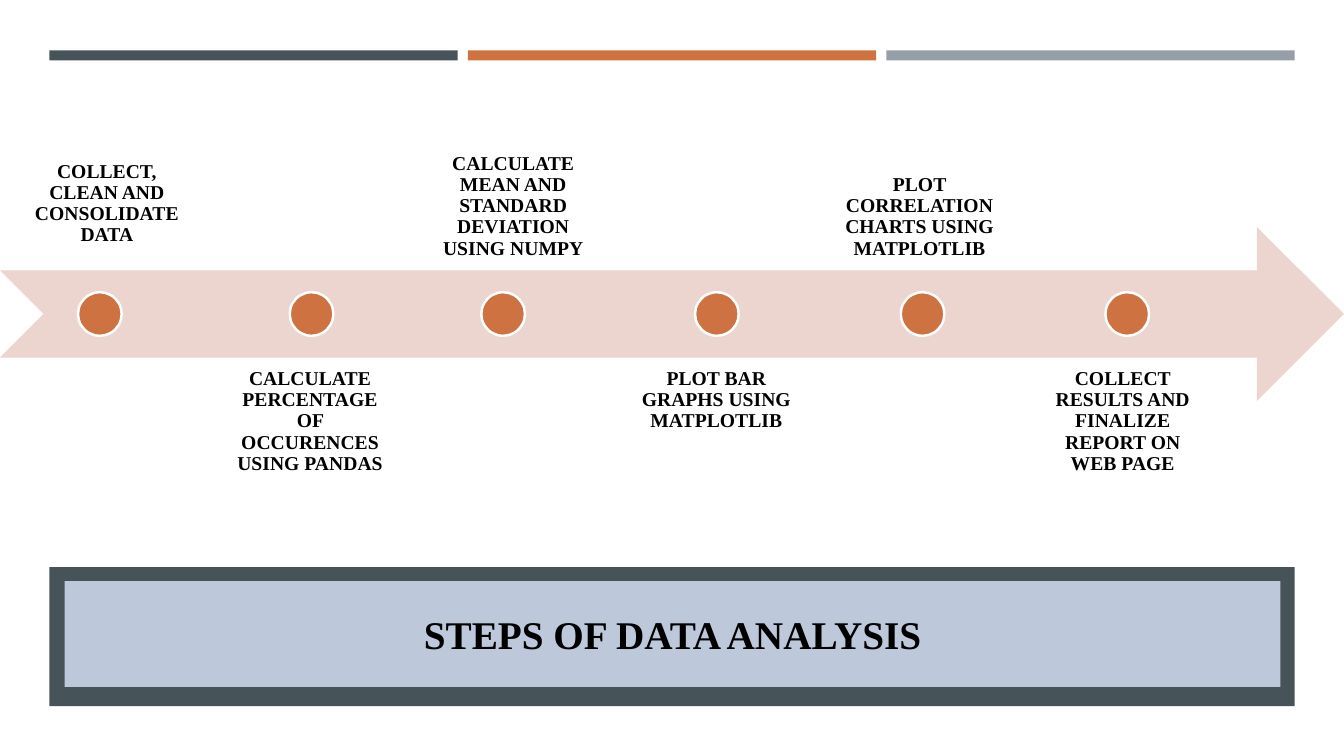
from dataclasses import dataclass
from pptx import Presentation
from pptx.dml.color import RGBColor
from pptx.enum.shapes import MSO_SHAPE
from pptx.enum.text import MSO_ANCHOR, MSO_AUTO_SIZE, PP_ALIGN
from pptx.util import Inches, Pt


@dataclass(frozen=True)
class Theme:
    font: str = "Times New Roman"
    head: int = 28
    label: int = 14
    ink: str = "000000"
    white: str = "FFFFFF"
    slate: str = "465359"
    rust: str = "CE7242"
    gray: str = "969FA7"
    pale: str = "BDC8DB"
    blush: str = "EDD5CF"


THEME = Theme()
WIDE, HIGH = 13.33, 7.5
TITLE = "STEPS OF DATA ANALYSIS"
# Each step: wording, centre of its dot
STEPS = [
    ("COLLECT, CLEAN AND CONSOLIDATE DATA", 0.99),
    ("CALCULATE PERCENTAGE OF OCCURENCES USING PANDAS", 3.09),
    ("CALCULATE MEAN AND STANDARD DEVIATION USING NUMPY", 4.99),
    ("PLOT BAR GRAPHS USING MATPLOTLIB", 7.11),
    ("PLOT CORRELATION CHARTS USING MATPLOTLIB", 9.15),
    ("COLLECT RESULTS AND FINALIZE REPORT ON WEB PAGE", 11.18),
]


def paint(target, color):
    target.solid()
    target.fore_color.rgb = RGBColor.from_string(color)


def draw(slide, kind, box, color):
    shape = slide.shapes.add_shape(kind, *map(Inches, box))
    shape.shadow.inherit = False
    paint(shape.fill, color)
    shape.line.fill.background()
    return shape


def write(frame, text, size, anchor):
    frame.word_wrap = True
    frame.auto_size = MSO_AUTO_SIZE.NONE
    frame.vertical_anchor = anchor
    frame.text = text
    para = frame.paragraphs[0]
    para.alignment = PP_ALIGN.CENTER
    font = para.font
    font.name, font.size, font.bold = THEME.font, Pt(size), True
    font.color.rgb = RGBColor.from_string(THEME.ink)
    return para


def add_bars(slide, box):
    left, top, width, height = box
    colors = (THEME.slate, THEME.rust, THEME.gray)
    gap = 0.1
    pitch = (width + gap) / len(colors)
    for col, color in enumerate(colors):
        place = (left + col * pitch, top, pitch - gap, height)
        draw(slide, MSO_SHAPE.RECTANGLE, place, color)


def add_label(slide, box, text, anchor):
    frame = slide.shapes.add_textbox(*map(Inches, box)).text_frame
    frame.margin_left = Inches(0.31)
    frame.margin_right = frame.margin_top = frame.margin_bottom = Inches(0.11)
    write(frame, text, THEME.label, anchor).line_spacing = 0.9


def add_steps(slide, box):
    """Draw the arrow in the box, with labels above and below by turns."""
    left, top, width, height = box
    draw(slide, MSO_SHAPE.NOTCHED_RIGHT_ARROW, box, THEME.blush)
    dot = height / 4
    middle = top + height / 2
    pitch, span = 2.015, 1.92
    for col, (text, center) in enumerate(STEPS):
        above = col % 2 == 0
        bottom = top + height / 4 - (0.13 if col == 0 else 0)
        y = bottom - height if above else top + height * 0.75
        anchor = MSO_ANCHOR.BOTTOM if above else MSO_ANCHOR.TOP
        add_label(slide, (left + col * pitch, y, span, height), text, anchor)
        place = (left + center - dot / 2, middle - dot / 2, dot, dot)
        mark = draw(slide, MSO_SHAPE.OVAL, place, THEME.rust)
        paint(mark.line.fill, THEME.white)
        mark.line.width = Pt(1.75)


def add_title(slide, box):
    left, top, width, height = box
    panel = draw(slide, MSO_SHAPE.RECTANGLE, box, THEME.slate)
    title = slide.shapes.title
    title.left, title.top = Inches(left + 0.15), Inches(top + 0.14)
    title.width, title.height = Inches(width - 0.29), Inches(height - 0.33)
    paint(title.fill, THEME.pale)
    write(title.text_frame, TITLE, THEME.head, MSO_ANCHOR.MIDDLE)
    panel.element.addnext(title.element)  # title lies over its panel


def main():
    deck = Presentation()
    deck.slide_width, deck.slide_height = Inches(WIDE), Inches(HIGH)
    slide = deck.slides.add_slide(deck.slide_layouts[5])
    paint(slide.background.fill, THEME.white)
    edge, inner = 0.49, 12.35
    add_title(slide, (edge, HIGH * 0.75, inner, 1.38))
    add_bars(slide, (edge, HIGH / 15, inner, 0.1))
    add_steps(slide, (0, HIGH * 0.3, WIDE, 1.73))
    deck.save("out.pptx")


if __name__ == "__main__":
    main()
